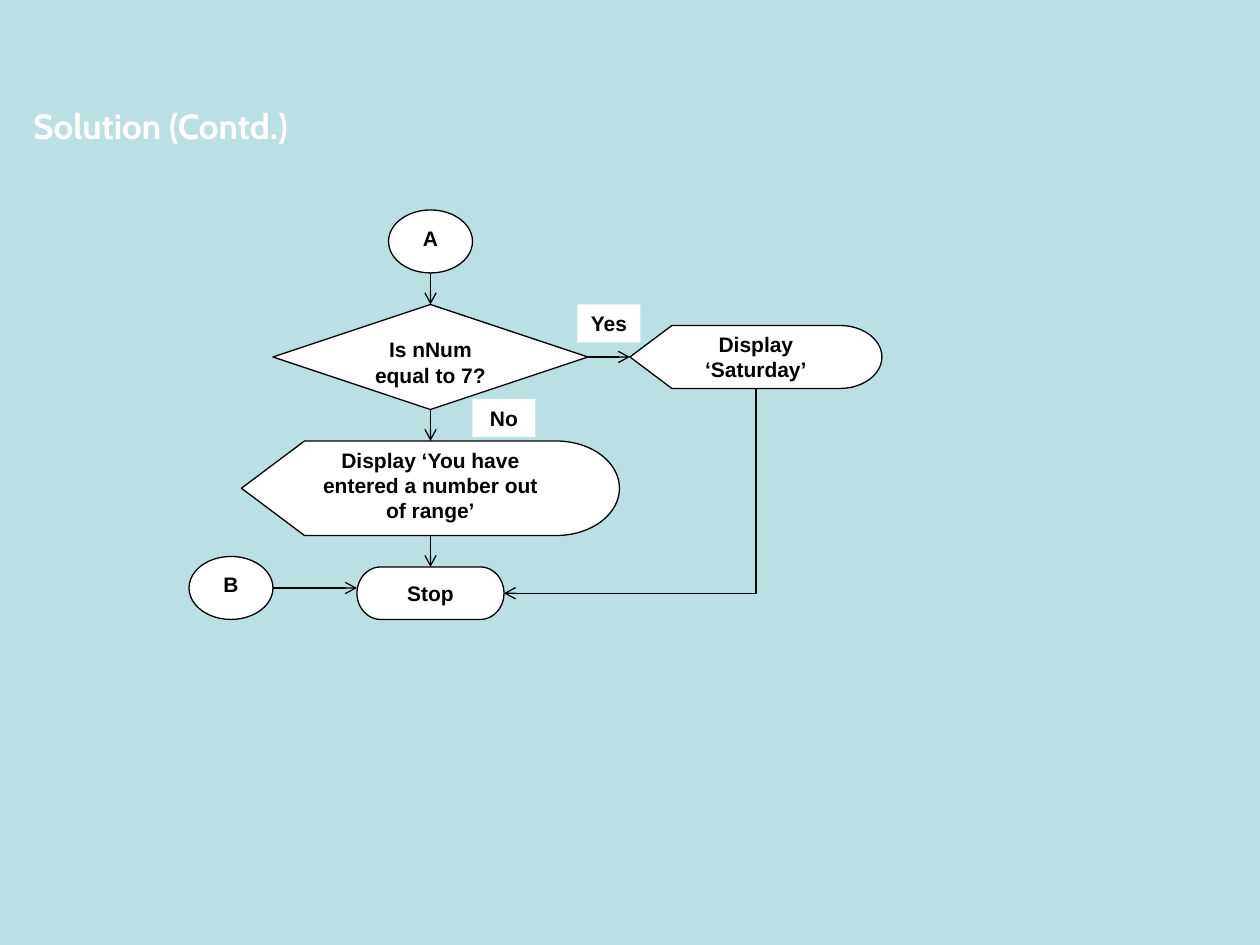
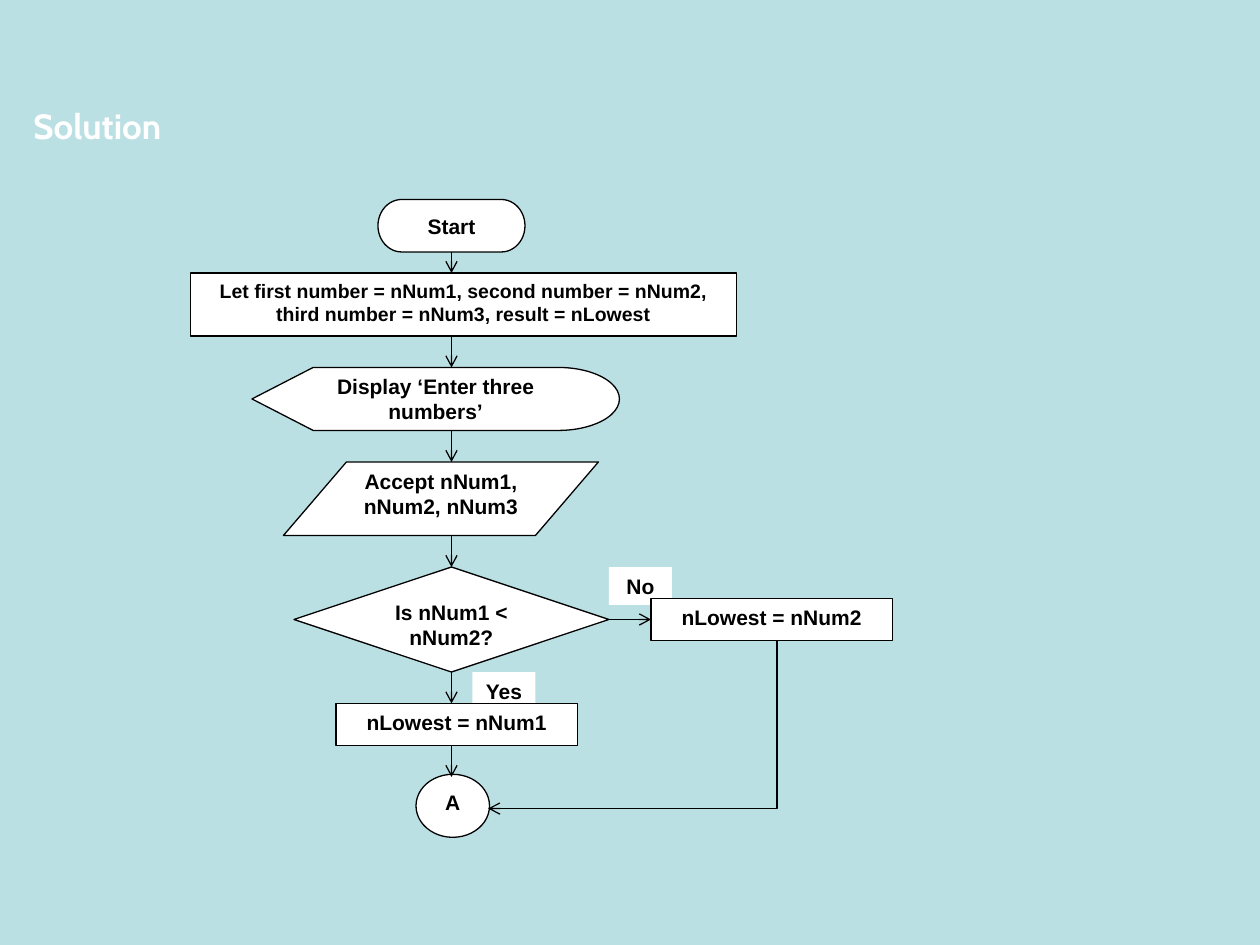
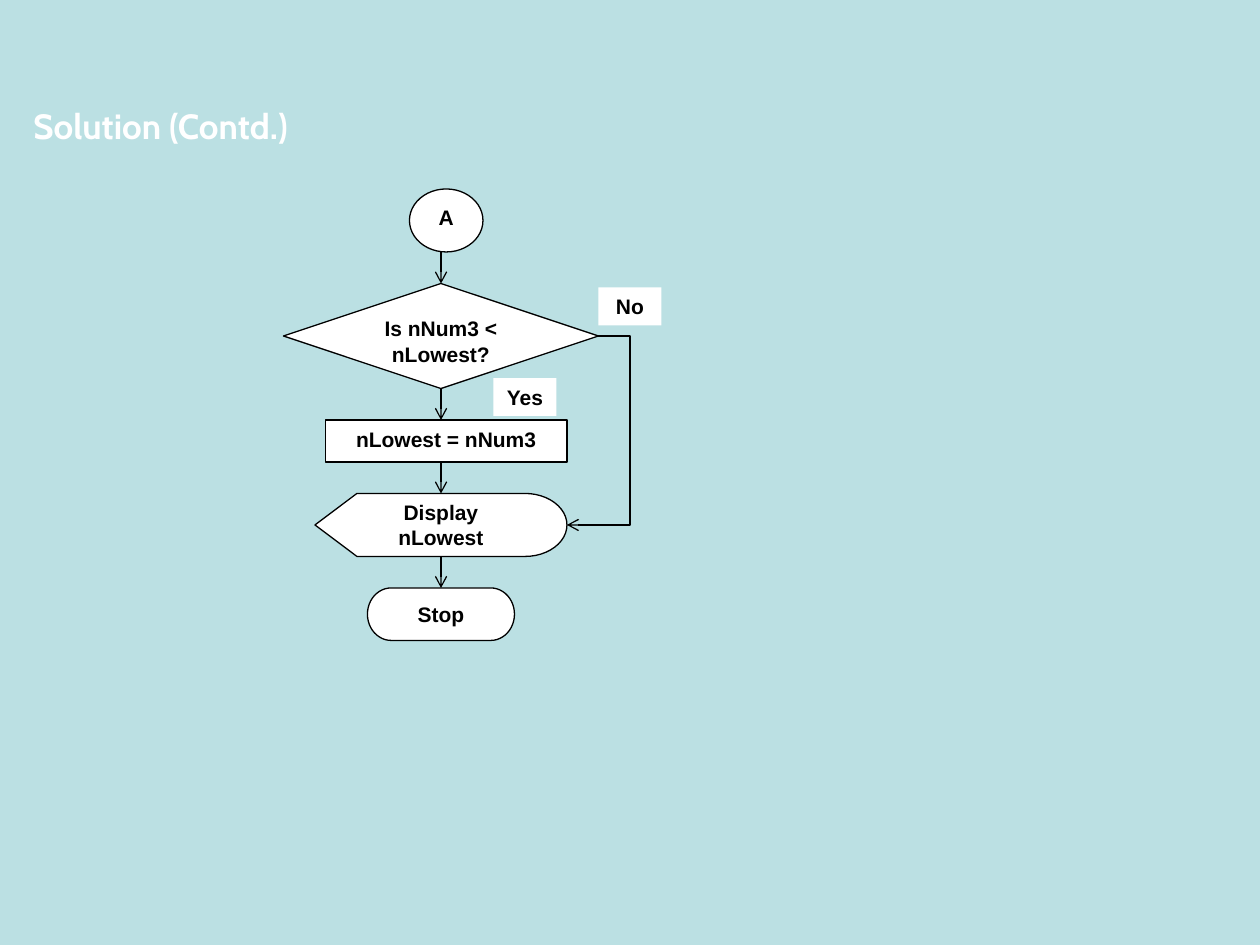
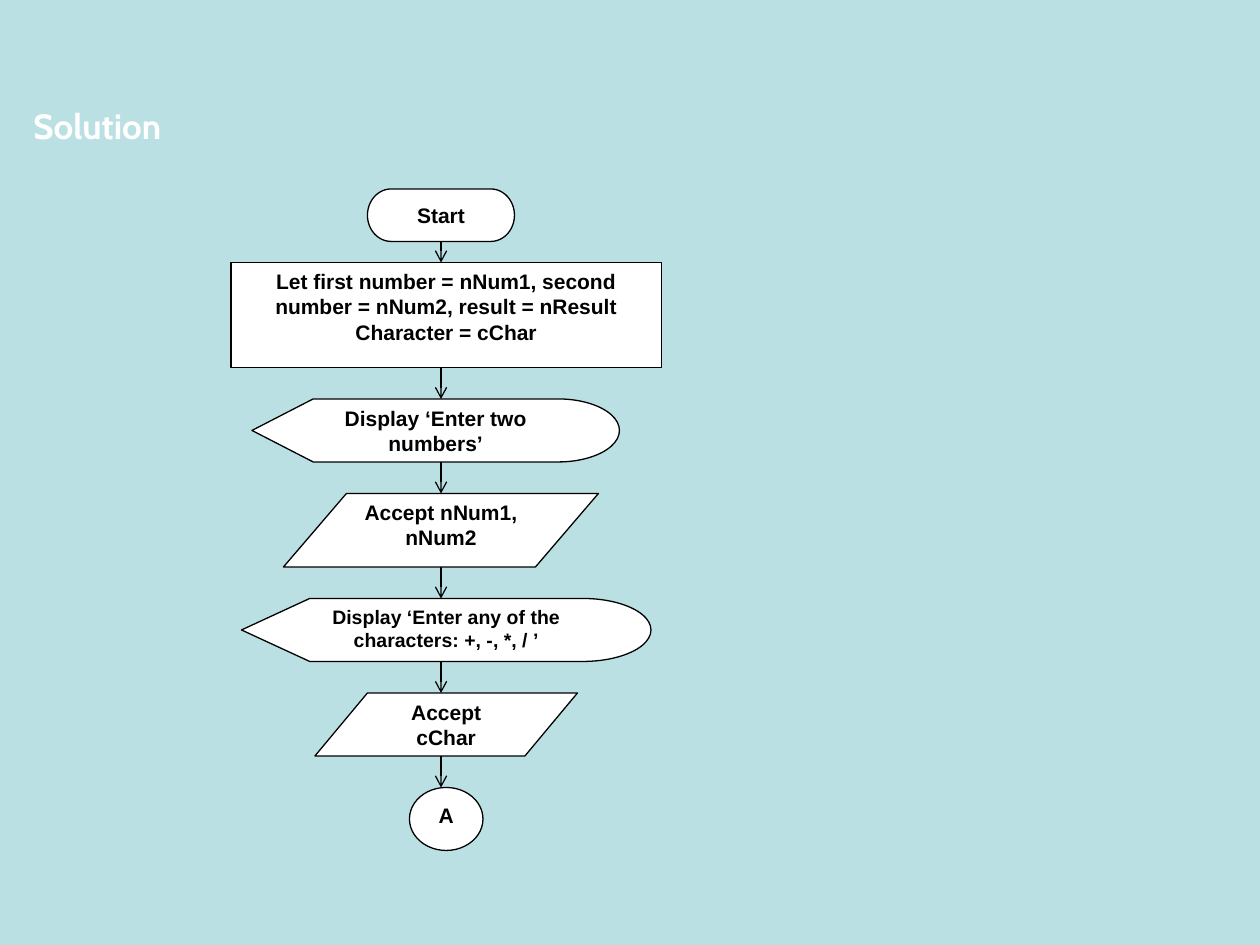
from lxml import etree
from pptx import Presentation
from pptx.dml.color import RGBColor
from pptx.enum.shapes import MSO_CONNECTOR, MSO_SHAPE
from pptx.enum.text import MSO_ANCHOR, PP_ALIGN
from pptx.oxml.ns import qn
from pptx.util import Pt

PX = 9525  # EMU per px, 96 px to the inch
AQUA = RGBColor(0xBB, 0xE0, 0xE3)
WHITE = RGBColor(0xFF, 0xFF, 0xFF)
BLACK = RGBColor(0x00, 0x00, 0x00)

END = MSO_SHAPE.FLOWCHART_TERMINATOR
TEST = MSO_SHAPE.FLOWCHART_DECISION
SHOW = MSO_SHAPE.FLOWCHART_DISPLAY
STEP = MSO_SHAPE.FLOWCHART_PROCESS
INPUT = MSO_SHAPE.FLOWCHART_DATA
JOINT = MSO_SHAPE.FLOWCHART_CONNECTOR
LABEL = MSO_SHAPE.RECTANGLE
LINE = MSO_CONNECTOR.STRAIGHT
ELBOW = MSO_CONNECTOR.ELBOW
CENTER = PP_ALIGN.CENTER
TOP = MSO_ANCHOR.TOP


def add_node(slide, kind, x, y, w, h, text, size=12):
    node = slide.shapes.add_shape(kind, x * PX, y * PX, w * PX, h * PX)
    node.shadow.inherit = False
    node.fill.solid()
    node.fill.fore_color.rgb = WHITE
    if kind == LABEL:
        node.line.fill.background()
    else:
        node.line.color.rgb = BLACK
        node.line.width = Pt(0.75)
    frame = node.text_frame
    frame.word_wrap = True
    frame.vertical_anchor = TOP
    para = frame.paragraphs[0]
    para.text = text
    para.alignment = CENTER
    para.font.name = "Arial"
    para.font.size = Pt(size)
    para.font.bold = True
    para.font.color.rgb = BLACK


def add_arrow(slide, x1, y1, x2, y2, bend=None):
    """Draw an arrow; bend is where an elbow turns, in 1/100000 of its width."""
    kind = LINE if bend is None else ELBOW
    arrow = slide.shapes.add_connector(kind, x1 * PX, y1 * PX, x2 * PX, y2 * PX)
    arrow.line.color.rgb = BLACK
    arrow.line.width = Pt(0.75)
    props = arrow._element.spPr
    etree.SubElement(props.find(qn("a:ln")), qn("a:tailEnd"), type="arrow")
    etree.SubElement(props, qn("a:effectLst"))
    if bend is not None:
        guides = props.find(qn("a:prstGeom")).find(qn("a:avLst"))
        etree.SubElement(guides, qn("a:gd"), name="adj1", fmla=f"val {bend}")


# Each chart: title, labels (text, x, y), nodes, axis x,
# down arrows on the axis (top, bottom), side arrows
charts = [
    (
        "Solution (Contd.)",
        [("Yes", 440, 232), ("No", 360, 304)],
        [
            (JOINT, 296, 160, 64, 48, "A"),
            (TEST, 208, 232, 240, 80, "Is nNum equal to 7?"),
            (SHOW, 480, 248, 192, 48, "Display ‘Saturday’"),
            (SHOW, 184, 336, 288, 72,
             "Display ‘You have entered a number out of range’"),
            (JOINT, 144, 424, 64, 48, "B"),
            (END, 272, 432, 112, 40, "Stop"),
        ],
        328,
        [(208, 232), (312, 336), (408, 432)],
        [(448, 272, 480, 272), (208, 448, 272, 448), (576, 296, 384, 452, 0)],
    ),
    (
        "Solution",
        [("No", 464, 432), ("Yes", 360, 512)],
        [
            (END, 288, 152, 112, 40, "Start"),
            (STEP, 145, 208, 416, 48,
             "Let first number = nNum1, second number = nNum2, "
             "third number = nNum3, result = nLowest", 11.1),
            (SHOW, 192, 280, 280, 48, "Display ‘Enter three numbers’"),
            (INPUT, 216, 352, 240, 56, "Accept nNum1, nNum2, nNum3"),
            (TEST, 224, 432, 240, 80, "Is nNum1 < nNum2?"),
            (STEP, 496, 456, 184, 32, "nLowest = nNum2"),
            (STEP, 256, 536, 184, 32, "nLowest = nNum1"),
            (JOINT, 317, 590, 56, 48, "A"),
        ],
        344,
        [(192, 208), (256, 280), (328, 352), (408, 432), (512, 536), (568, 592)],
        [(464, 472, 496, 472), (592, 488, 372, 616, 0)],
    ),
    (
        "Solution (Contd.)",
        [("No", 456, 219), ("Yes", 376, 288)],
        [
            (JOINT, 312, 144, 56, 48, "A"),
            (TEST, 216, 216, 240, 80, "Is nNum3 < nLowest?"),
            (STEP, 248, 320, 184, 32, "nLowest = nNum3"),
            (SHOW, 240, 376, 192, 48, "Display nLowest"),
            (END, 280, 448, 112, 40, "Stop"),
        ],
        336,
        [(192, 216), (296, 320), (352, 376), (424, 448)],
        [(456, 256, 432, 400, -100000)],
    ),
    (
        "Solution",
        [],
        [
            (END, 280, 144, 112, 40, "Start"),
            (STEP, 176, 200, 328, 80,
             "Let first number = nNum1, second number = nNum2, "
             "result = nResult Character = cChar"),
            (SHOW, 192, 304, 280, 48, "Display ‘Enter two numbers’"),
            (INPUT, 216, 376, 240, 56, "Accept nNum1, nNum2"),
            (SHOW, 184, 456, 312, 48,
             "Display ‘Enter any of the characters: +, -, *, / ’", 11.1),
            (INPUT, 240, 528, 200, 48, "Accept cChar"),
            (JOINT, 312, 600, 56, 48, "A"),
        ],
        336,
        [(184, 200), (280, 304), (352, 376), (432, 456), (504, 528), (576, 600)],
        [],
    ),
]

prs = Presentation()
prs.slide_width = 960 * PX
prs.slide_height = 720 * PX

# Shared background
back = prs.slide_master.background.fill
back.solid()
back.fore_color.rgb = AQUA

for title, labels, nodes, axis, downs, sides in charts:
    slide = prs.slides.add_slide(prs.slide_layouts[6])

    # Title
    box = slide.shapes.add_textbox(16 * PX, 75 * PX, 720 * PX, 42 * PX)
    box.text_frame.word_wrap = True
    para = box.text_frame.paragraphs[0]
    para.text = title
    para.font.name = "Cabin"
    para.font.size = Pt(20)
    para.font.bold = True
    para.font.color.rgb = WHITE

    # Branch labels lie below the nodes
    for text, x, y in labels:
        add_node(slide, LABEL, x, y, 48, 29, text)
    for node in nodes:
        add_node(slide, *node)

    # Flow
    for top, bottom in downs:
        add_arrow(slide, axis, top, axis, bottom)
    for side in sides:
        add_arrow(slide, *side)

prs.save("out.pptx")
